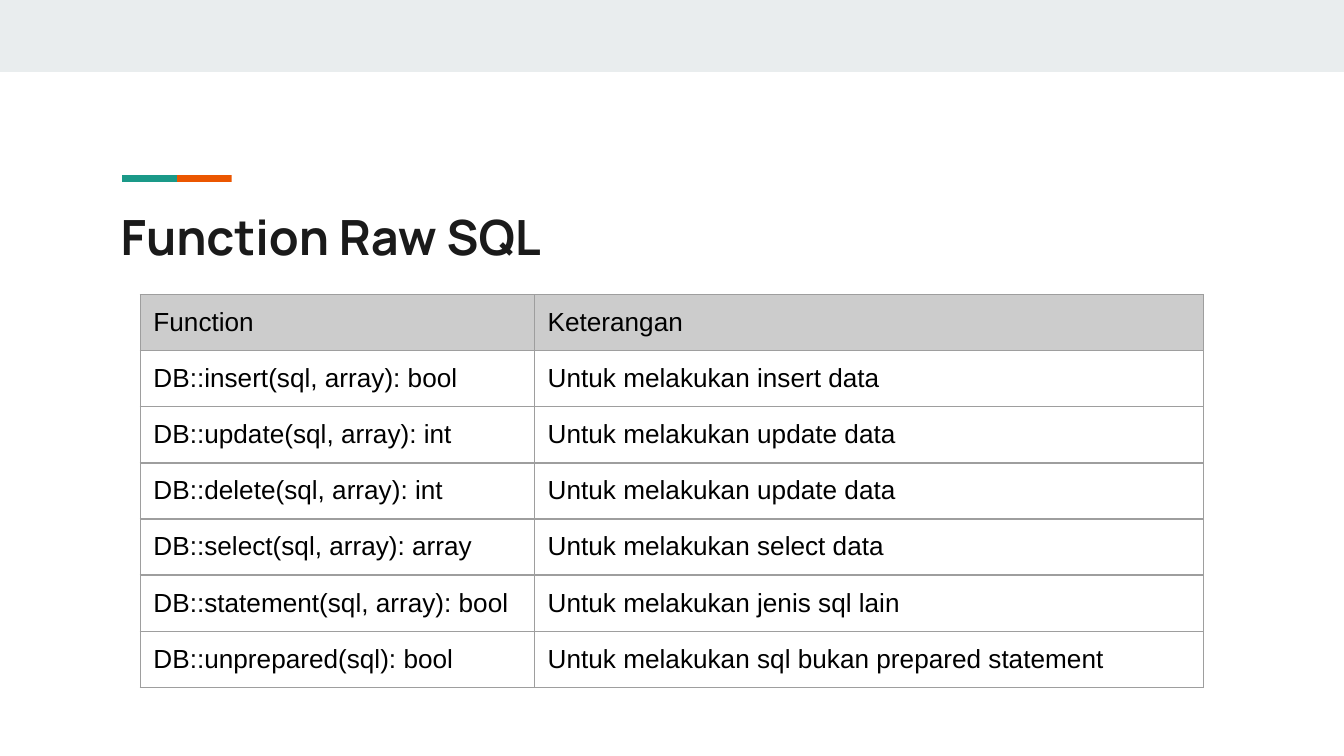
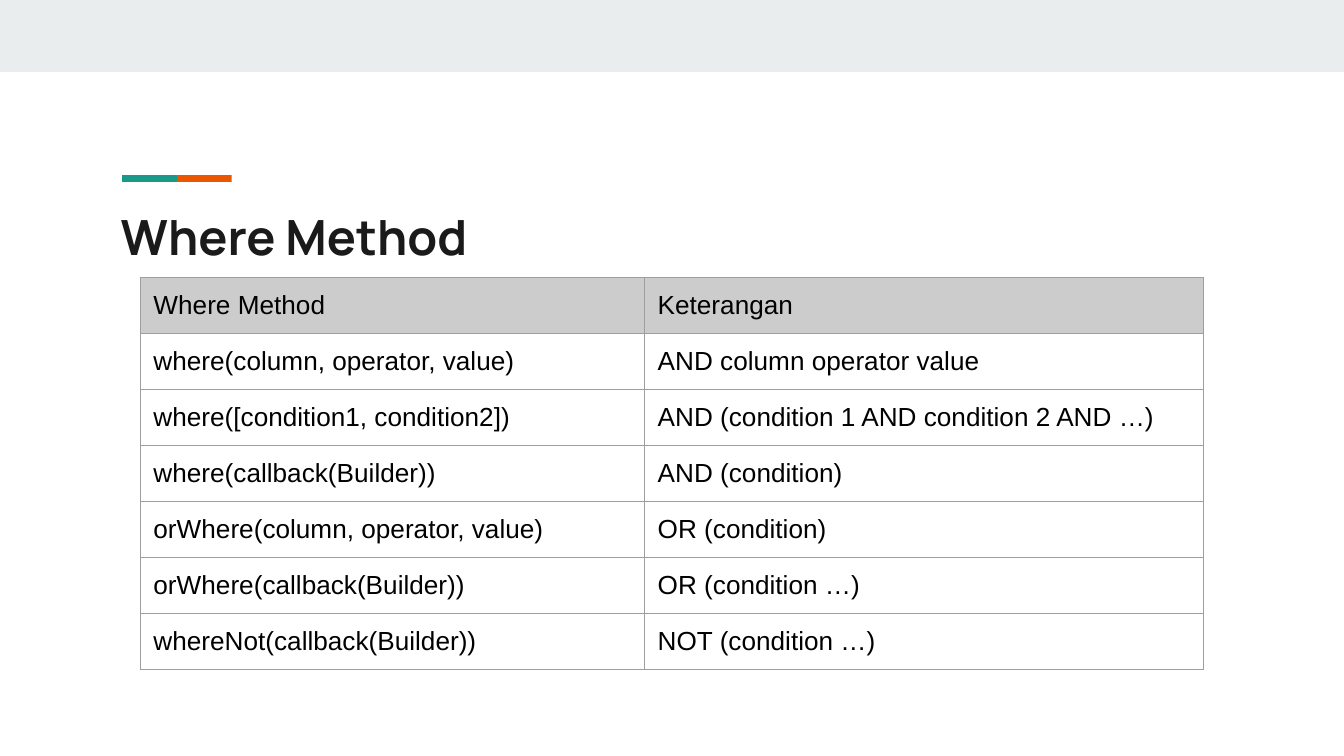
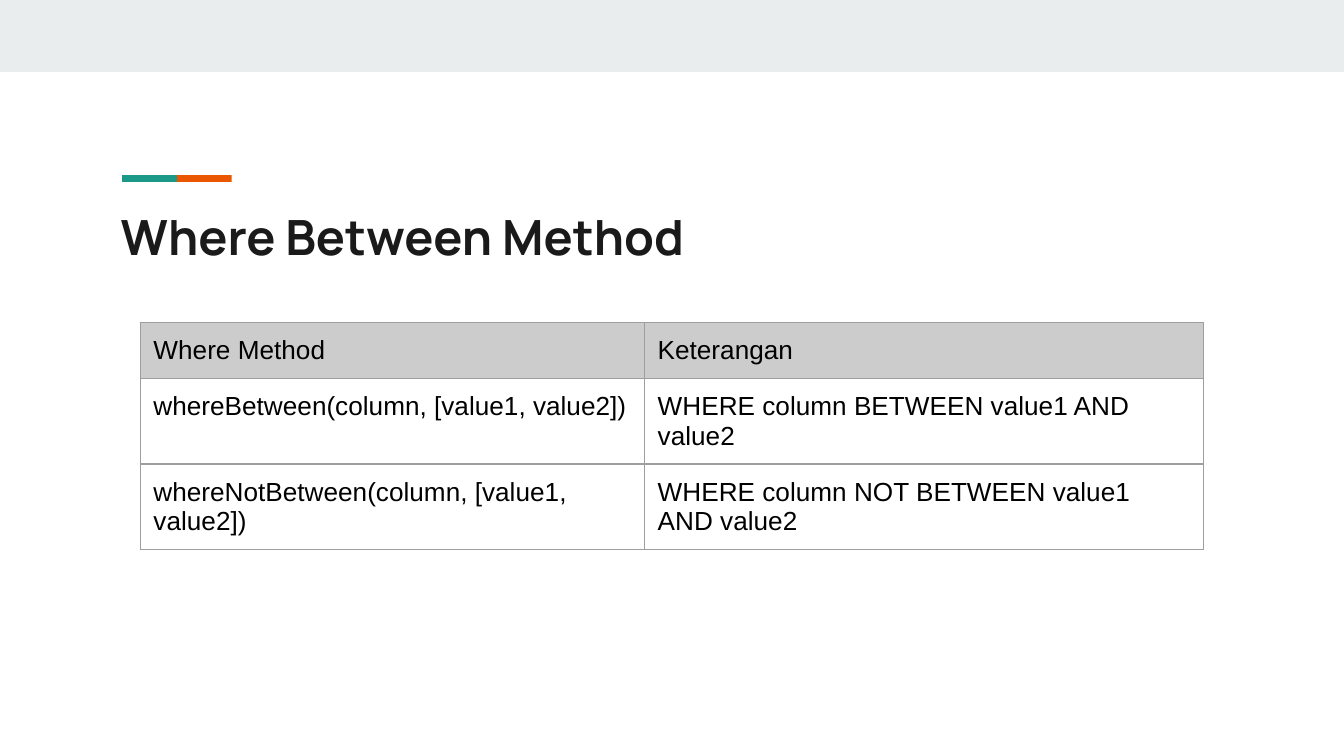
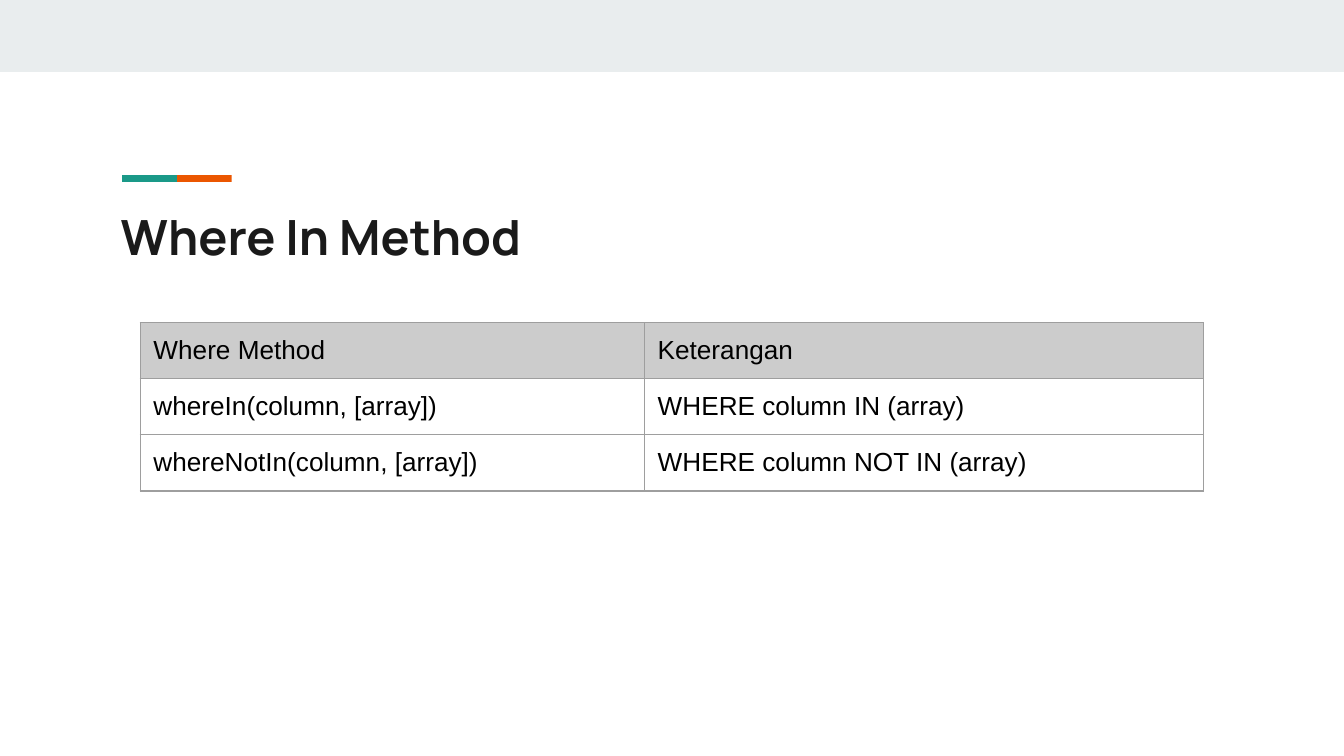
import pptx
import pptx.dml.color
import pptx.enum.shapes
import pptx.enum.text
import pptx.oxml
import pptx.oxml.ns
import pptx.util
from pptx.util import Cm

BAND, TEAL, ORANGE = "E9EDEE", "1A9988", "EB5600"
TITLE_INK, TABLE_INK = "1A1A1A", "000000"
HEADER, BORDER = "CCCCCC", "9E9E9E"
TITLE_FONT, TABLE_FONT = "Manrope", "Arial"

SLIDE_WIDTH, SLIDE_HEIGHT = 25.4, 14.29
BAND_BOX = (0, 0, SLIDE_WIDTH, 1.36)
TITLE_BOX = (2.03, 3.66, 21.36, 1.5)
ACCENT_BOX = (2.31, 3.31, 2.07, 0.13)
TABLE_LEFT, ROW_HEIGHT = 2.65, 1.06
CELL_MARGIN = 0.25
METHOD_COLUMNS = (9.53, 10.57)

# title, table top, column widths, rows
TABLES = [
    ("Function Raw SQL", 5.57, (7.45, 12.65), [
        ("Function", "Keterangan"),
        ("DB::insert(sql, array): bool", "Untuk melakukan insert data"),
        ("DB::update(sql, array): int", "Untuk melakukan update data"),
        ("DB::delete(sql, array): int", "Untuk melakukan update data"),
        ("DB::select(sql, array): array", "Untuk melakukan select data"),
        ("DB::statement(sql, array): bool", "Untuk melakukan jenis sql lain"),
        ("DB::unprepared(sql): bool", "Untuk melakukan sql bukan prepared statement"),
    ]),
    ("Where Method", 5.24, METHOD_COLUMNS, [
        ("Where Method", "Keterangan"),
        ("where(column, operator, value)", "AND column operator value"),
        ("where([condition1, condition2])", "AND (condition 1 AND condition 2 AND …)"),
        ("where(callback(Builder))", "AND (condition)"),
        ("orWhere(column, operator, value)", "OR (condition)"),
        ("orWhere(callback(Builder))", "OR (condition …)"),
        ("whereNot(callback(Builder))", "NOT (condition …)"),
    ]),
    ("Where Between Method", 6.1, METHOD_COLUMNS, [
        ("Where Method", "Keterangan"),
        ("whereBetween(column, [value1, value2])", "WHERE column BETWEEN value1 AND value2"),
        ("whereNotBetween(column, [value1, value2])",
         "WHERE column NOT BETWEEN value1 AND value2"),
    ]),
    ("Where In Method", 6.1, METHOD_COLUMNS, [
        ("Where Method", "Keterangan"),
        ("whereIn(column, [array])", "WHERE column IN (array)"),
        ("whereNotIn(column, [array])", "WHERE column NOT IN (array)"),
    ]),
]


def color(code):
    return pptx.dml.color.RGBColor.from_string(code)


def place(shape, box):
    shape.left, shape.top, shape.width, shape.height = map(Cm, box)


def add_run(para, text, font, size, ink, bold=False):
    span = para.add_run()
    span.text = text
    span.font.name = font
    span.font.size = pptx.util.Pt(size)
    span.font.bold = bold
    span.font.color.rgb = color(ink)


def set_margins(holder):
    """Give a text frame or a table cell the same margin on every side."""
    for side in ("left", "top", "right", "bottom"):
        setattr(holder, f"margin_{side}", Cm(CELL_MARGIN))


def add_bar(shapes, box, fill):
    bar = shapes.add_shape(
        pptx.enum.shapes.MSO_SHAPE.RECTANGLE, *(Cm(length) for length in box))
    bar.shadow.inherit = False
    bar.fill.solid()
    bar.fill.fore_color.rgb = color(fill)
    bar.line.fill.background()
    return bar


def stand_on_end(bar):
    """Swap the sides of a bar about its centre and turn it back by rotation."""
    shift = (bar.width - bar.height) // 2
    bar.left, bar.top = bar.left + shift, bar.top - shift
    bar.width, bar.height = bar.height, bar.width
    bar.rotation = 270


def add_accent(page, box):
    """Group two turned bars above the title and scale the group to the box."""
    length, thickness = 1.46, 0.07
    accent = page.shapes.add_group_shape()
    bars = [add_bar(accent.shapes, (left, 0, length, thickness), fill)
            for left, fill in ((length, ORANGE), (0, TEAL))]
    for bar in bars:
        stand_on_end(bar)
    place(accent, box)
    return accent


def prepare_layout(layout, page):
    """Draw the shared parts on a page and move them into its layout."""
    title = layout.placeholders[0]
    place(title, TITLE_BOX)
    parts = [add_bar(page.shapes, BAND_BOX, BAND), add_accent(page, ACCENT_BOX)]
    tree = title.element.getparent()
    for index, part in enumerate(parts):
        tree.insert(2 + index, part.element)
    for number, properties in enumerate(tree.xpath(".//p:cNvPr"), start=1):
        properties.set("id", str(number))


def fill_title(page, text):
    frame = page.shapes.title.text_frame
    set_margins(frame)
    frame.word_wrap = True
    frame.auto_size = pptx.enum.text.MSO_AUTO_SIZE.NONE
    frame.vertical_anchor = pptx.enum.text.MSO_ANCHOR.TOP
    para = frame.paragraphs[0]
    para.alignment = pptx.enum.text.PP_ALIGN.LEFT
    add_run(para, text, TITLE_FONT, 26, TITLE_INK, bold=True)


def set_borders(cell):
    properties = cell._tc.get_or_add_tcPr()
    for index, side in enumerate(("lnL", "lnR", "lnT", "lnB")):
        properties.insert(index, pptx.oxml.parse_xml(
            f'<a:{side} {pptx.oxml.ns.nsdecls("a")} w="9525"><a:solidFill>'
            f'<a:srgbClr val="{BORDER}"/></a:solidFill></a:{side}>'))


def fill_cell(cell, text, is_header):
    set_margins(cell)
    if is_header:
        cell.fill.solid()
        cell.fill.fore_color.rgb = color(HEADER)
    else:
        cell.fill.background()
    set_borders(cell)
    add_run(cell.text_frame.paragraphs[0], text, TABLE_FONT, 14, TABLE_INK)


def add_method_table(page, left, top, widths, rows):
    table = page.shapes.add_table(
        len(rows), len(widths), Cm(left), Cm(top),
        Cm(sum(widths)), Cm(ROW_HEIGHT * len(rows))).table
    table.first_row = table.horz_banding = False
    for column, width in zip(table.columns, widths):
        column.width = Cm(width)
    for row_index, (row, texts) in enumerate(zip(table.rows, rows)):
        row.height = Cm(ROW_HEIGHT)
        for cell, text in zip(row.cells, texts):
            fill_cell(cell, text, is_header=row_index == 0)


def main():
    deck = pptx.Presentation()
    deck.slide_width, deck.slide_height = Cm(SLIDE_WIDTH), Cm(SLIDE_HEIGHT)
    layout = deck.slide_layouts.get_by_name("Title Only")
    for index, (title, top, widths, rows) in enumerate(TABLES):
        page = deck.slides.add_slide(layout)
        if index == 0:
            prepare_layout(layout, page)
        fill_title(page, title)
        add_method_table(page, TABLE_LEFT, top, widths, rows)
    deck.save("out.pptx")


if __name__ == "__main__":
    main()
